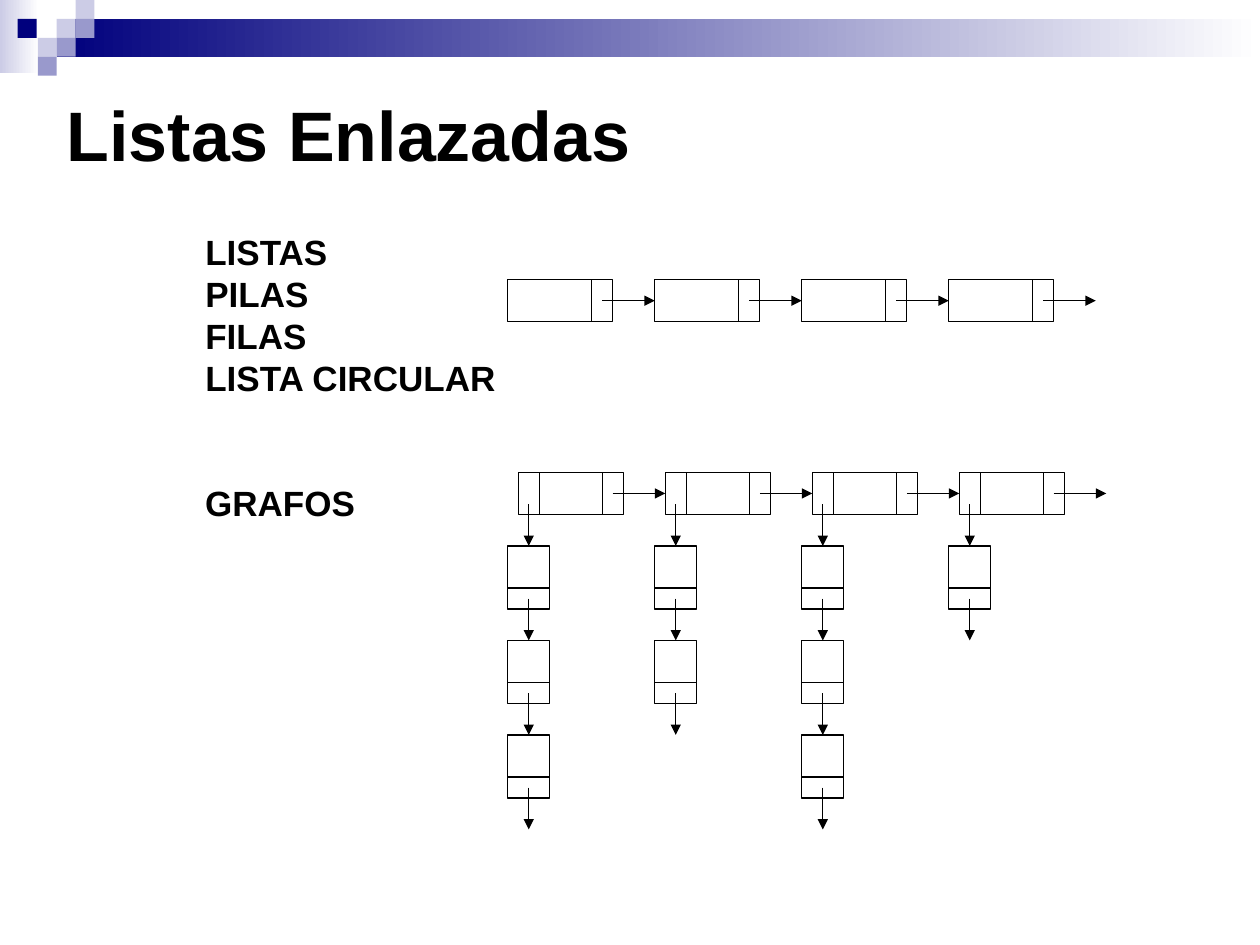
from typing import NamedTuple

from lxml.etree import SubElement
from pptx import Presentation
from pptx.dml.color import RGBColor
from pptx.enum.shapes import MSO_CONNECTOR as Connector, MSO_SHAPE as Preset
from pptx.enum.text import MSO_ANCHOR as Anchor, MSO_AUTO_SIZE as AutoSize, PP_ALIGN as Align
from pptx.oxml.ns import qn
from pptx.util import Inches, Pt

UNIT = 1 / 12
NODE_PITCH = 14 * UNIT
CELL_PITCH = 9 * UNIT
LIST_LEFT = 4.03
LIST_TOP = 2.22
GRAPH_TOP = 3.75
NODE_COUNT = 4
CELLS_PER_NODE = (3, 2, 3, 1)
BLACK, NAVY, LILAC, LAVENDER, WHITE = "000000", "00007D", "9999CC", "CCCCE6", "FFFFFF"


class Box(NamedTuple):
    left: float
    top: float
    width: float
    height: float


class Block(NamedTuple):
    box: Box
    colours: tuple[str, ...]


def tile(left: float, top: float, colour: str) -> Block:
    return Block(Box(left, top, 0.15, 0.15), (colour,))


BANNER = (
    Block(Box(0, 0, 0.31, 0.58), (LAVENDER, WHITE)),
    Block(Box(0.45, 0.15, 9.55, 0.3), (NAVY, WHITE)),
    tile(0.45, 0.15, LAVENDER),
    tile(0.6, 0, LAVENDER),
    tile(0.6, 0.15, LILAC),
    tile(0.3, 0.3, LAVENDER),
    tile(0.14, 0.15, NAVY),
    tile(0.45, 0.3, LILAC),
    tile(0.3, 0.45, LILAC),
)


def colour_of(value: str) -> RGBColor:
    return RGBColor.from_string(value)


def add_rectangle(slide, box: Box):
    shape = slide.shapes.add_shape(Preset.RECTANGLE, *map(Inches, box))
    shape.shadow.inherit = False
    return shape


def add_block(slide, block: Block) -> None:
    shape = add_rectangle(slide, block.box)
    shape.line.fill.background()
    if len(block.colours) == 1:
        shape.fill.solid()
        shape.fill.fore_color.rgb = colour_of(block.colours[0])
        return
    shape.fill.gradient()
    shape.fill.gradient_angle = 0
    for stop, colour in zip(shape.fill.gradient_stops, block.colours):
        stop.color.rgb = colour_of(colour)


def set_outline(shape) -> None:
    shape.line.color.rgb = colour_of(BLACK)
    shape.line.width = Pt(0.75)


def add_frame(slide, box: Box) -> None:
    shape = add_rectangle(slide, box)
    shape.fill.background()
    set_outline(shape)


def add_line(slide, x: float, y: float, dx: float = 0, dy: float = 0, arrow: bool = False) -> None:
    line = slide.shapes.add_connector(Connector.STRAIGHT, *map(Inches, (x, y, x + dx, y + dy)))
    set_outline(line)
    if arrow:
        SubElement(line.line._get_or_add_ln(), qn("a:tailEnd"), type="triangle")
    SubElement(line._element.spPr, qn("a:effectLst"))


def add_node(slide, left: float, top: float) -> None:
    add_frame(slide, Box(left, top, 10 * UNIT, 4 * UNIT))
    add_line(slide, left + 8 * UNIT, top, dy=4 * UNIT)
    add_line(slide, left + 9 * UNIT, top + 2 * UNIT, dx=5 * UNIT, arrow=True)


def add_cell(slide, left: float, top: float) -> None:
    add_frame(slide, Box(left, top, 4 * UNIT, 6 * UNIT))
    add_line(slide, left, top + 4 * UNIT, dx=4 * UNIT)
    add_line(slide, left + 2 * UNIT, top + 5 * UNIT, dy=4 * UNIT, arrow=True)


def add_graph_column(slide, left: float, cell_count: int) -> None:
    node_left = left + UNIT
    add_node(slide, node_left, GRAPH_TOP)
    add_line(slide, node_left + 2 * UNIT, GRAPH_TOP, dy=4 * UNIT)
    add_line(slide, node_left + UNIT, GRAPH_TOP + 3 * UNIT, dy=4 * UNIT, arrow=True)
    for row in range(cell_count):
        add_cell(slide, left, GRAPH_TOP + 7 * UNIT + row * CELL_PITCH)


def write_text(shape, text: str, *, box: Box, size: float, spacing=None, grow: bool = False) -> None:
    shape.left, shape.top, shape.width, shape.height = map(Inches, box)
    frame = shape.text_frame
    frame.text = text
    frame.word_wrap = True
    frame.vertical_anchor = Anchor.TOP
    frame.auto_size = AutoSize.SHAPE_TO_FIT_TEXT if grow else AutoSize.NONE
    for paragraph in frame.paragraphs:
        properties = paragraph._p.get_or_add_pPr()
        properties.set("marL", "0")
        properties.set("indent", "0")
        SubElement(properties, qn("a:buNone"))
        paragraph.alignment = Align.LEFT
        paragraph.space_before = Pt(0)
        paragraph.line_spacing = spacing
        for run in paragraph.runs:
            run.font.name = "Arial"
            run.font.size = Pt(size)
            run.font.bold = True
            run.font.color.rgb = colour_of(BLACK)


def main() -> None:
    presentation = Presentation()
    presentation.slide_width, presentation.slide_height = Inches(10), Inches(7.5)
    slide = presentation.slides.add_slide(presentation.slide_layouts[1])
    for block in BANNER:
        add_block(slide, block)

    write_text(slide.shapes.title, "Listas Enlazadas", box=Box(0.43, 0.68, 9, 1.5), size=40)
    write_text(
        slide.placeholders[1],
        "LISTAS\nPILAS\nFILAS\nLISTA CIRCULAR",
        box=Box(1.53, 1.78, 2.99, 1.43),
        size=20,
        spacing=Pt(24),
        grow=True,
    )
    graph_box = Box(1.53, 3.77, 1.67, 0.43)
    graph_label = slide.shapes.add_textbox(*map(Inches, graph_box))
    write_text(graph_label, "GRAFOS", box=graph_box, size=20, spacing=Pt(24), grow=True)

    for column in range(NODE_COUNT):
        add_node(slide, LIST_LEFT + column * NODE_PITCH, LIST_TOP)
    for column, cell_count in enumerate(CELLS_PER_NODE):
        add_graph_column(slide, LIST_LEFT + column * NODE_PITCH, cell_count)
    presentation.save("out.pptx")


if __name__ == "__main__":
    main()
